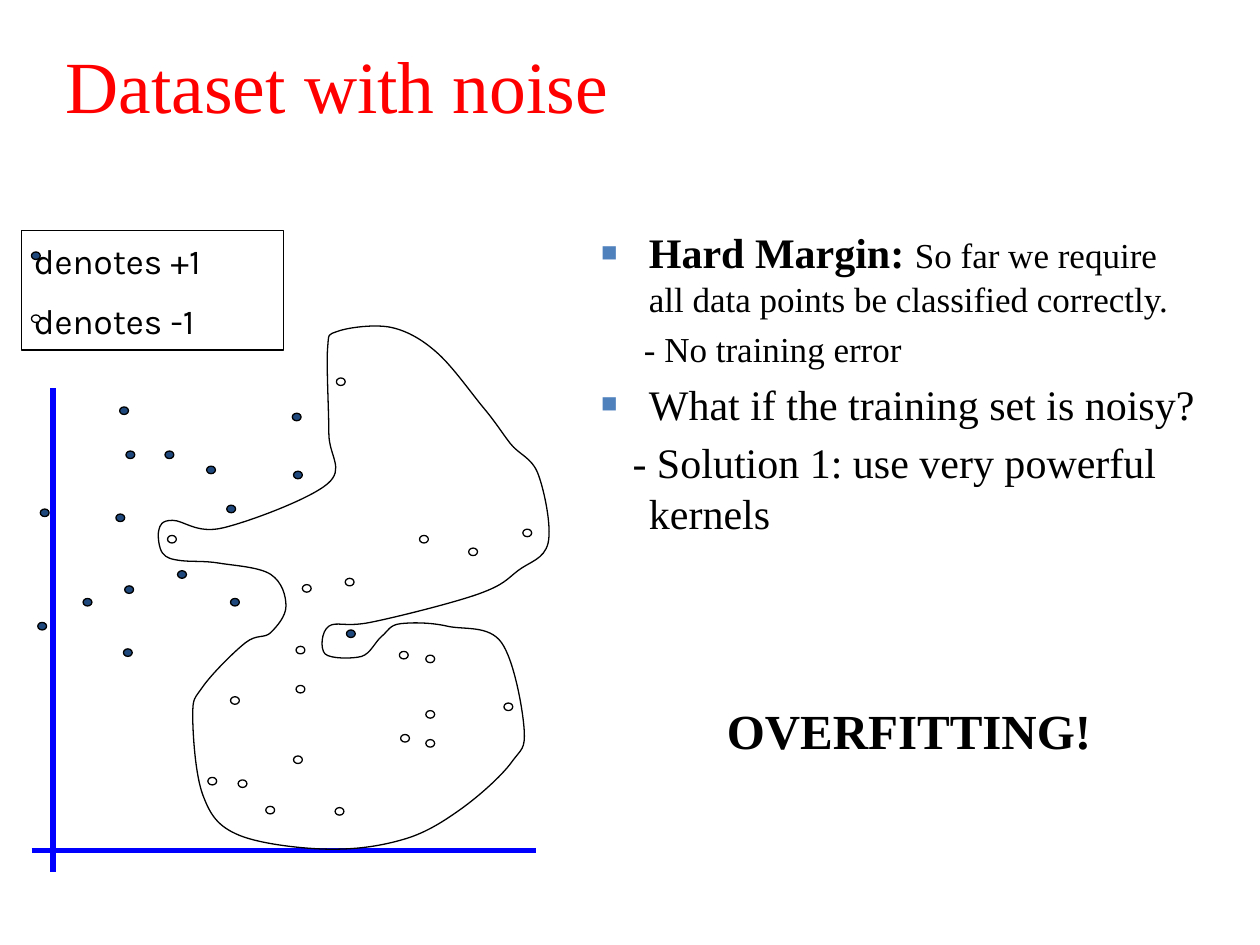
from typing import NamedTuple

from lxml.etree import SubElement
from pptx import Presentation
from pptx.dml.color import RGBColor
from pptx.enum.shapes import MSO_CONNECTOR, MSO_SHAPE
from pptx.enum.text import MSO_ANCHOR, MSO_AUTO_SIZE, PP_ALIGN
from pptx.oxml.ns import qn
from pptx.util import Inches, Pt

SERIF = "Times New Roman"
BLACK, WHITE, NAVY, BLUE, RED, BULLET = "000000", "FFFFFF", "1F497D", "0000FF", "FF0000", "4F81BD"


class Span(NamedTuple):
    text: str
    size: float
    bold: bool = False
    color: str = BLACK
    font: str = SERIF


class Line(NamedTuple):
    spans: list[Span]
    space: float = 0
    margin: float = 0
    indent: float = 0
    bullet: bool = False


class Point(NamedTuple):
    x: float
    y: float


class Axis(NamedTuple):
    start: Point
    end: Point


AXES = [Axis(Point(0.42, 3.08), Point(0.42, 6.92)), Axis(Point(0.25, 6.75), Point(4.25, 6.75))]

POSITIVE_DOTS = [
    (25, 200), (30, 494), (233, 374), (131, 358), (183, 475), (92, 408), (275, 500),
    (100, 358), (99, 465), (180, 401), (98, 515), (232, 328), (95, 323), (141, 453),
    (66, 475), (164, 370), (32, 404),
]
NEGATIVE_DOTS = [
    (25, 250), (165, 617), (240, 464), (317, 517), (183, 553), (415, 420), (338, 564),
    (274, 459), (400, 558), (133, 425), (267, 300), (211, 640), (338, 520), (235, 513),
    (372, 435), (333, 425), (318, 583), (266, 641), (233, 600), (235, 544), (189, 619),
    (338, 587),
]
BOUNDARY = [
    (260, 277), (261, 344), (260, 384), (177, 419), (137, 413), (126, 421), (129, 439),
    (144, 445), (174, 447), (215, 456), (227, 481), (215, 502), (195, 510), (161, 545),
    (153, 568), (161, 631), (190, 663), (264, 674), (321, 666), (366, 642), (406, 605),
    (416, 579), (398, 510), (355, 497), (318, 495), (303, 505), (287, 521), (258, 519),
    (261, 497), (294, 494), (381, 471), (411, 453), (435, 431), (427, 376), (405, 352),
    (384, 324), (348, 281), (311, 260), (268, 263),
]


def paint(target, color: str) -> None:
    target.rgb = RGBColor.from_string(color)


def apply(target, values: dict) -> None:
    for name, value in values.items():
        setattr(target, name, value)


def place(shape, left: float, top: float, width: float, height: float) -> None:
    apply(shape, {"left": Inches(left), "top": Inches(top),
                  "width": Inches(width), "height": Inches(height)})


def style(shape, width: float, fill: str | None = None) -> None:
    shape.shadow.inherit = False
    shape.fill.background()
    if fill:
        shape.fill.solid()
        paint(shape.fill.fore_color, fill)
    paint(shape.line.color, BLACK)
    shape.line.width = Pt(width)


def set_marker(para, line: Line) -> None:
    properties = para._p.get_or_add_pPr()
    properties.set("marL", str(Inches(line.margin)))
    properties.set("indent", str(Inches(line.indent)))
    if not line.bullet:
        SubElement(properties, qn("a:buNone"))
        return
    SubElement(SubElement(properties, qn("a:buClr")), qn("a:srgbClr"), val=BULLET)
    SubElement(properties, qn("a:buSzPct"), val="65000")
    SubElement(properties, qn("a:buFont"), typeface=SERIF)
    SubElement(properties, qn("a:buChar"), char="■")


def write(box, lines: list[Line], anchor=MSO_ANCHOR.MIDDLE, wrap: bool = True) -> None:
    frame = box.text_frame
    apply(frame, {"word_wrap": wrap, "auto_size": MSO_AUTO_SIZE.NONE, "vertical_anchor": anchor})
    for index, line in enumerate(lines):
        para = frame.add_paragraph() if index else frame.paragraphs[0]
        apply(para, {"alignment": PP_ALIGN.LEFT, "space_before": Pt(line.space)})
        set_marker(para, line)
        for span in line.spans:
            run = para.add_run()
            run.text = span.text
            apply(run.font, {"name": span.font, "size": Pt(span.size), "bold": span.bold})
            paint(run.font.color, span.color)


def draw_dot(page, left: int, top: int, color: str) -> None:
    bounds = map(Inches, (left / 100, top / 100, 0.07, 0.06))
    style(page.shapes.add_shape(MSO_SHAPE.OVAL, *bounds), 0.75, color)


def draw_axis(page, axis: Axis) -> None:
    line = page.shapes.add_connector(MSO_CONNECTOR.STRAIGHT, *map(Inches, axis.start + axis.end))
    paint(line.line.color, BLUE)
    line.line.width = Pt(3)
    SubElement(line._element.spPr, qn("a:effectLst"))


def draw_boundary(page) -> None:
    points = [Point(*pair) for pair in BOUNDARY]
    count = len(points)
    left, top = (min(values) for values in zip(*points))
    builder = page.shapes.build_freeform(*points[0], scale=Inches(0.01))
    builder.add_line_segments(points[1:] + points[:1], close=True)
    shape = builder.convert_to_shape()
    style(shape, 0.75)
    for index, segment in enumerate(list(shape._element.iter(qn("a:lnTo")))):
        before, start, end, after = (points[(index + step) % count] for step in range(-1, 3))
        leaving = Point(start.x + (end.x - before.x) / 6, start.y + (end.y - before.y) / 6)
        arriving = Point(end.x - (after.x - start.x) / 6, end.y - (after.y - start.y) / 6)
        segment.clear()
        segment.tag = qn("a:cubicBezTo")
        for point in (leaving, arriving, end):
            SubElement(segment, qn("a:pt"), x=str(round(point.x - left)), y=str(round(point.y - top)))


def draw_legend(page) -> None:
    box = page.shapes.add_shape(MSO_SHAPE.RECTANGLE, *map(Inches, (0.17, 1.83, 2.08, 0.95)))
    style(box, 1)
    write(box, [Line([Span("denotes +1", 20, font="Karla")]),
                Line([Span("denotes -1", 20, font="Karla")], space=10)])


def main() -> None:
    """Build the slide on overfitting a noisy dataset."""
    deck = Presentation()
    apply(deck, {"slide_width": Inches(10), "slide_height": Inches(7.5)})
    page = deck.slides.add_slide(deck.slide_layouts[1])
    title, body = page.placeholders
    place(title, 0.42, 0.25, 8.5, 0.83)
    write(title, [Line([Span("Dataset with noise", 42, color=RED)])])
    place(body, 4.67, 1.75, 4.92, 4.83)
    write(body, [
        Line([Span("Hard Margin: ", 24, bold=True),
              Span("So far we require all data points be classified correctly.", 20)],
             0, 0.38, -0.38, True),
        Line([Span("- No training error", 20)], 4.8, 0.38, -0.04),
        Line([Span("What if the training set is noisy?", 24)], 4.8, 0.38, -0.38, True),
        Line([Span("- Solution 1: use very powerful kernels", 24)], 4.8, 0.38, -0.13),
    ], MSO_ANCHOR.TOP)
    draw_legend(page)
    for axis in AXES:
        draw_axis(page, axis)
    for dots, color in ((POSITIVE_DOTS, NAVY), (NEGATIVE_DOTS, WHITE)):
        for left, top in dots:
            draw_dot(page, left, top, color)
    verdict = page.shapes.add_textbox(*map(Inches, (5.67, 5.25, 3.08, 1.08)))
    write(verdict, [Line([Span("OVERFITTING!", 28, bold=True)])], wrap=False)
    draw_boundary(page)
    deck.save("out.pptx")


if __name__ == "__main__":
    main()
